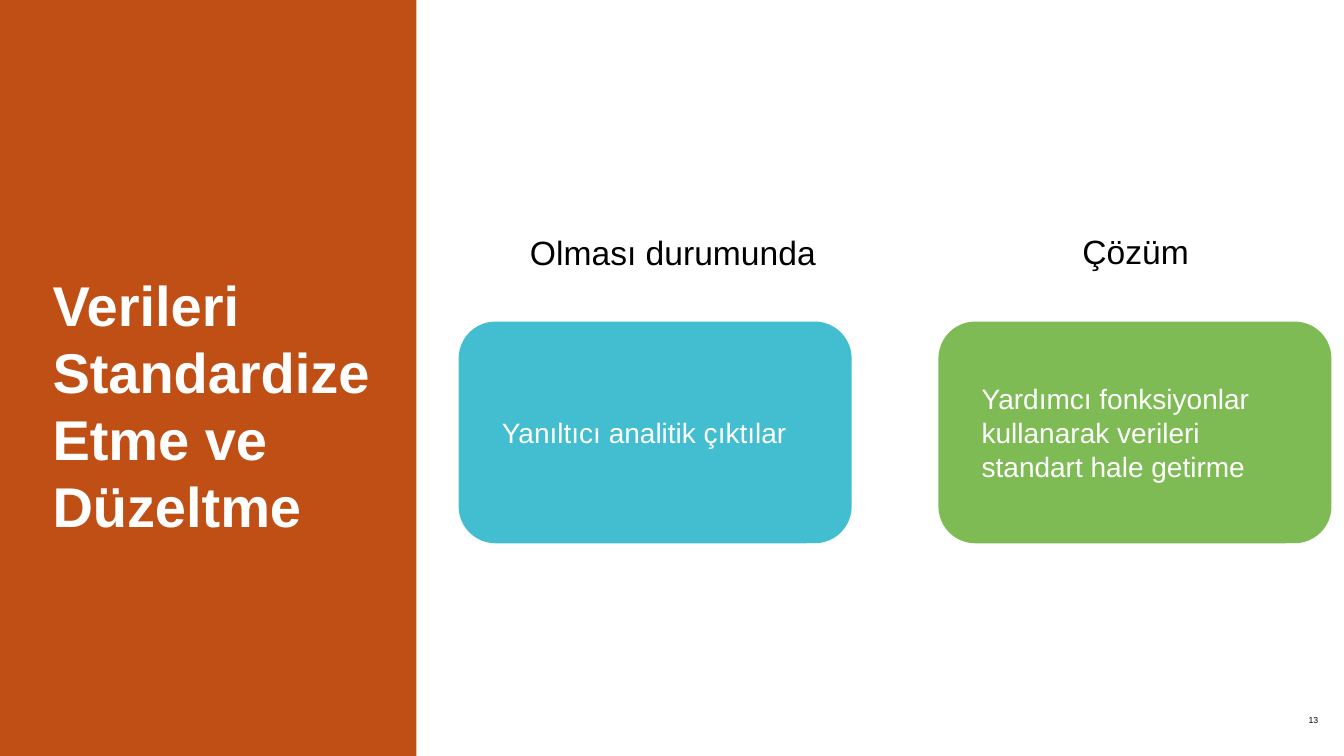
from pptx import Presentation
from pptx.dml.color import RGBColor
from pptx.enum.shapes import MSO_SHAPE
from pptx.enum.text import MSO_ANCHOR, PP_ALIGN
from pptx.util import Pt

COLORS = {
    "panel": "BF4F14",
    "problem": "42BED0",
    "solution": "7EBB55",
    "white": "FFFFFF",
    "black": "000000",
}
CARD_TOP, CARD_WIDTH, CARD_HEIGHT = 229.7, 280.8, 158.4


def color(name):
    return RGBColor.from_string(COLORS[name])


def write(sp, text, size, ink, bold=False, align=PP_ALIGN.LEFT,
          anchor=MSO_ANCHOR.TOP, inset=(7.2, 3.6)):
    """Fill a shape with one paragraph; inset is (horizontal, vertical)."""
    tf = sp.text_frame
    tf.text = text
    tf.word_wrap = True
    tf.vertical_anchor = anchor
    tf.margin_left = tf.margin_right = Pt(inset[0])
    tf.margin_top = tf.margin_bottom = Pt(inset[1])
    p = tf.paragraphs[0]
    p.alignment = align
    p.line_spacing = 1.0
    font = p.runs[0].font
    font.name = "Arial"
    font.size = Pt(size)
    font.bold = bold
    font.color.rgb = color(ink)


def add_block(s, kind, left, top, width, height, fill):
    sp = s.shapes.add_shape(kind, Pt(left), Pt(top), Pt(width), Pt(height))
    sp.shadow.inherit = False
    sp.fill.solid()
    sp.fill.fore_color.rgb = color(fill)
    sp.line.fill.background()
    return sp


def add_text(s, left, top, width, height, text, size, **style):
    sp = s.shapes.add_textbox(Pt(left), Pt(top), Pt(width), Pt(height))
    write(sp, text, size, "black", **style)


def add_card(s, left, text, fill):
    sp = add_block(s, MSO_SHAPE.ROUNDED_RECTANGLE, left, CARD_TOP,
                   CARD_WIDTH, CARD_HEIGHT, fill)
    write(sp, text, 20, "white", anchor=MSO_ANCHOR.MIDDLE, inset=(23.2, 3.6))


def add_title(s, text):
    panel = add_block(s, MSO_SHAPE.RECTANGLE, 0, -2.2, 297.5, 547.9, "panel")
    title = s.shapes.title
    panel._element.addnext(title._element)
    title.left, title.top = Pt(28.1), Pt(183.6)
    title.width, title.height = Pt(270), Pt(213.1)
    write(title, text, 40, "white", bold=True, inset=(9.4, 9.4))


def main():
    prs = Presentation()
    prs.slide_width, prs.slide_height = Pt(960), Pt(540)
    s = prs.slides.add_slide(prs.slide_layouts[5])
    add_title(s, "Verileri Standardize Etme ve Düzeltme")
    add_text(s, 893.5, 493.9, 57.6, 41, "13", 6.2, align=PP_ALIGN.RIGHT,
             anchor=MSO_ANCHOR.MIDDLE, inset=(9.4, 9.4))
    add_text(s, 371.5, 162, 233.3, 36, "Olması durumunda", 24)
    add_text(s, 766.1, 161.3, 195.8, 36, "Çözüm", 24)
    add_card(s, 327.6, "Yanıltıcı analitik çıktılar", "problem")
    add_card(s, 670.3, "Yardımcı fonksiyonlar kullanarak verileri standart hale getirme",
             "solution")
    prs.save("out.pptx")


if __name__ == "__main__":
    main()
